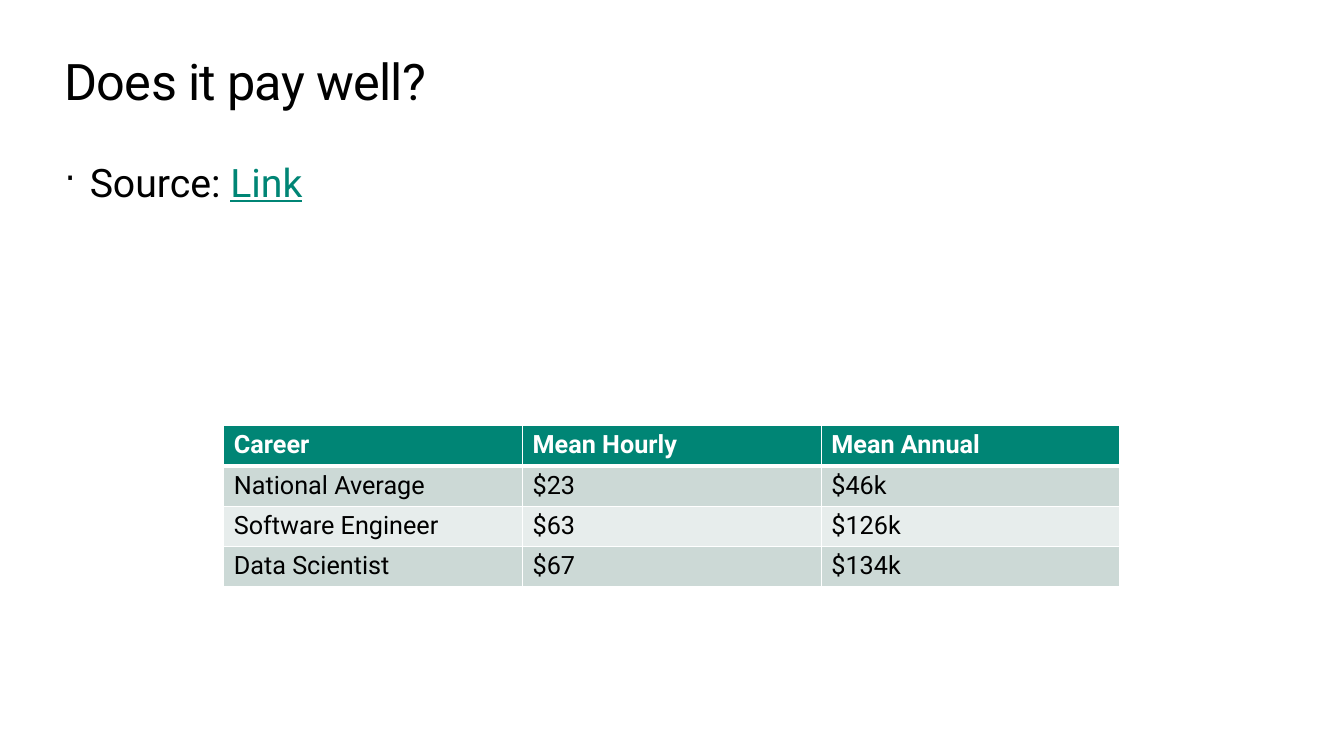
from dataclasses import dataclass

from lxml.etree import SubElement
from pptx import Presentation
from pptx.dml.color import RGBColor
from pptx.oxml.ns import qn
from pptx.util import Inches, Pt


@dataclass(frozen=True)
class Theme:
    font: str = "Roboto"
    black: str = "000000"
    white: str = "FFFFFF"
    accent: str = "008575"
    band_dark: str = "CCD9D6"
    band_light: str = "E7EDEC"
    title_size: int = 36
    body_size: int = 28
    table_size: int = 18


THEME = Theme()

CAREER_PAY = [
    ("Career", "Mean Hourly", "Mean Annual"),
    ("National Average", "$23", "$46k"),
    ("Software Engineer", "$63", "$126k"),
    ("Data Scientist", "$67", "$134k"),
]


def add_text(p, text, size, color=THEME.black, bold=False, underline=False, spacing=0):
    r = p.add_run()
    r.text = text
    font = r.font
    font.name = THEME.font
    font.size = Pt(size)
    font.bold = bold
    font.underline = underline
    font.color.rgb = RGBColor.from_string(color)
    if spacing:
        r._r.get_or_add_rPr().set("spc", str(int(spacing * 100)))


def add_box(s, left, top, width, height):
    """Add a text box without margins and return its first paragraph."""
    box = s.shapes.add_textbox(Inches(left), Inches(top), Inches(width), Inches(height))
    tf = box.text_frame
    tf.word_wrap = True
    tf.margin_left = tf.margin_top = tf.margin_right = tf.margin_bottom = 0
    return tf.paragraphs[0]


def set_bullet(p, char, indent, percent):
    pPr = p._p.get_or_add_pPr()
    pPr.set("marL", str(Inches(indent)))
    pPr.set("indent", str(-Inches(indent)))
    SubElement(pPr, qn("a:buSzPct")).set("val", str(percent * 1000))
    SubElement(pPr, qn("a:buChar")).set("char", char)


def set_borders(cell, top, bottom, side=1):
    """Draw white cell borders; they must come before the fill in the XML."""
    tcPr = cell._tc.get_or_add_tcPr()
    for tag, width in (("lnL", side), ("lnR", side), ("lnT", top), ("lnB", bottom)):
        ln = SubElement(tcPr, qn(f"a:{tag}"))
        ln.set("w", str(Pt(width)))
        fill = SubElement(ln, qn("a:solidFill"))
        SubElement(fill, qn("a:srgbClr")).set("val", THEME.white)


def add_pay_table(s, rows, left, top, width, row_height):
    shape = s.shapes.add_table(len(rows), len(rows[0]), Inches(left), Inches(top),
                               Inches(width), Inches(row_height * len(rows)))
    table = shape.table
    for i, row in enumerate(rows):
        header = i == 0
        band = THEME.band_dark if i % 2 else THEME.band_light
        for j, text in enumerate(row):
            cell = table.cell(i, j)
            set_borders(cell, top=3 if i == 1 else 1, bottom=3 if header else 1)
            cell.fill.solid()
            cell.fill.fore_color.rgb = RGBColor.from_string(THEME.accent if header else band)
            add_text(cell.text_frame.paragraphs[0], text, THEME.table_size,
                     color=THEME.white if header else THEME.black, bold=header)


def main():
    prs = Presentation()
    prs.slide_width, prs.slide_height = Inches(13.33), Inches(7.5)
    s = prs.slides.add_slide(prs.slide_layouts[6])

    # Title
    p = add_box(s, 0.64, 0.5, 12.05, 0.61)
    add_text(p, "Does it pay well?", THEME.title_size, spacing=-0.5)

    # Source line
    p = add_box(s, 0.64, 1.57, 12.05, 1.76)
    set_bullet(p, "·", indent=0.25, percent=90)
    add_text(p, "Source: ", THEME.body_size)
    add_text(p, "Link", THEME.body_size, color=THEME.accent, underline=True)

    # Pay by career
    add_pay_table(s, CAREER_PAY, left=2.22, top=4.22, width=8.89, row_height=0.4)

    prs.save("out.pptx")


if __name__ == "__main__":
    main()
